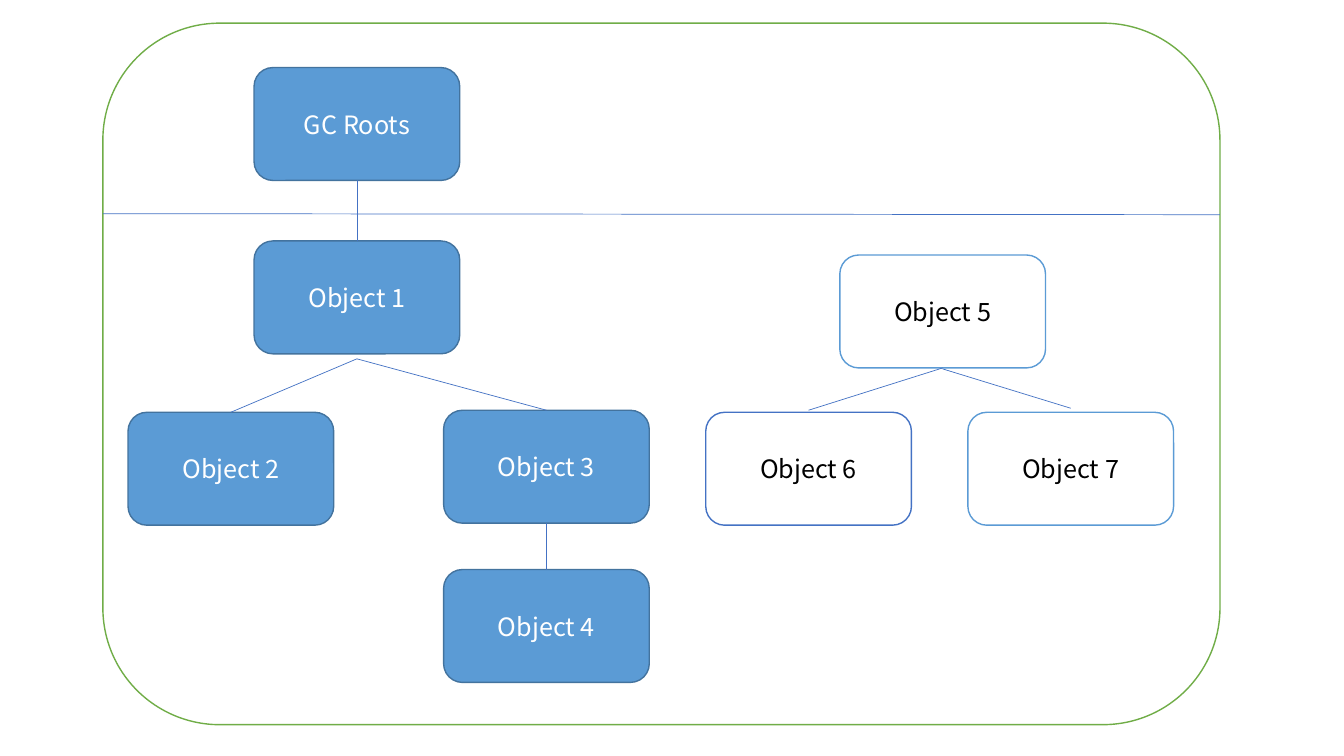
from lxml import etree
from pptx import Presentation
from pptx.dml.color import RGBColor
from pptx.enum import shapes, text
from pptx.oxml import ns
from pptx.util import Inches, Pt

FONT = "Noto Sans CJK SC"
WHITE = RGBColor(0xFF, 0xFF, 0xFF)
BLACK = RGBColor(0x00, 0x00, 0x00)
GREEN = RGBColor(0x70, 0xAD, 0x47)
LIGHT_BLUE = RGBColor(0x5B, 0x9B, 0xD5)
STEEL_BLUE = RGBColor(0x43, 0x73, 0x9E)
ROYAL_BLUE = RGBColor(0x44, 0x72, 0xC4)

BOX_W, BOX_H = 2.04, 1.12

prs = Presentation()
prs.slide_width, prs.slide_height = Inches(13.33), Inches(7.5)
s = prs.slides.add_slide(prs.slide_layouts[6])


def add_box(x, y, w, h, fill, line):
    """Add a rounded rectangle and return it."""
    sp = s.shapes.add_shape(shapes.MSO_SHAPE.ROUNDED_RECTANGLE,
                            Inches(x), Inches(y), Inches(w), Inches(h))
    sp.shadow.inherit = False
    sp.fill.solid()
    sp.fill.fore_color.rgb = fill
    sp.line.color.rgb = line
    sp.line.width = Pt(1)
    return sp


def add_line(x1, y1, x2, y2):
    """Add a thin straight connector without a shadow."""
    c = s.shapes.add_connector(shapes.MSO_CONNECTOR.STRAIGHT,
                               Inches(x1), Inches(y1), Inches(x2), Inches(y2))
    c.line.color.rgb = ROYAL_BLUE
    c.line.width = Pt(0.5)
    etree.SubElement(c._element.spPr, ns.qn("a:effectLst"))


# Heap frame and the divider below the roots
add_box(1.02, 0.23, 11.08, 6.96, WHITE, GREEN)
add_line(1.02, 2.12, 12.1, 2.13)

# Reachable objects are filled, unreachable ones are outlined
reachable = (LIGHT_BLUE, STEEL_BLUE, WHITE)
unreachable = (WHITE, LIGHT_BLUE, BLACK)
nodes = [
    ("GC Roots", 2.52, 0.67, reachable),
    ("Object 1", 2.52, 2.39, reachable),
    ("Object 2", 1.27, 4.09, reachable),
    ("Object 3", 4.4, 4.07, reachable),
    ("Object 4", 4.4, 5.65, reachable),
    ("Object 5", 8.33, 2.53, unreachable),
    ("Object 6", 7, 4.09, (WHITE, ROYAL_BLUE, BLACK)),
    ("Object 7", 9.6, 4.09, unreachable),
]
for label, x, y, (fill, line, ink) in nodes:
    tf = add_box(x, y, BOX_W, BOX_H, fill, line).text_frame
    tf.text = label
    tf.vertical_anchor = text.MSO_ANCHOR.MIDDLE
    p = tf.paragraphs[0]
    p.alignment = text.PP_ALIGN.CENTER
    r = p.runs[0]
    r.font.name, r.font.size = FONT, Pt(18)
    r.font.color.rgb = ink

# References: parent, child, gap below the parent, gap above the child
places = {label: (x + BOX_W / 2, y) for label, x, y, _ in nodes}
references = [
    ("GC Roots", "Object 1", 0, 0),
    ("Object 1", "Object 2", 0.05, 0),
    ("Object 1", "Object 3", 0.05, 0),
    ("Object 3", "Object 4", 0, 0),
    ("Object 5", "Object 6", 0, 0.02),
    ("Object 5", "Object 7", 0.01, 0.04),
]
for parent, child, gap_below, gap_above in references:
    x1, y1 = places[parent]
    x2, y2 = places[child]
    add_line(x1, y1 + BOX_H + gap_below, x2, y2 - gap_above)

prs.save("out.pptx")
